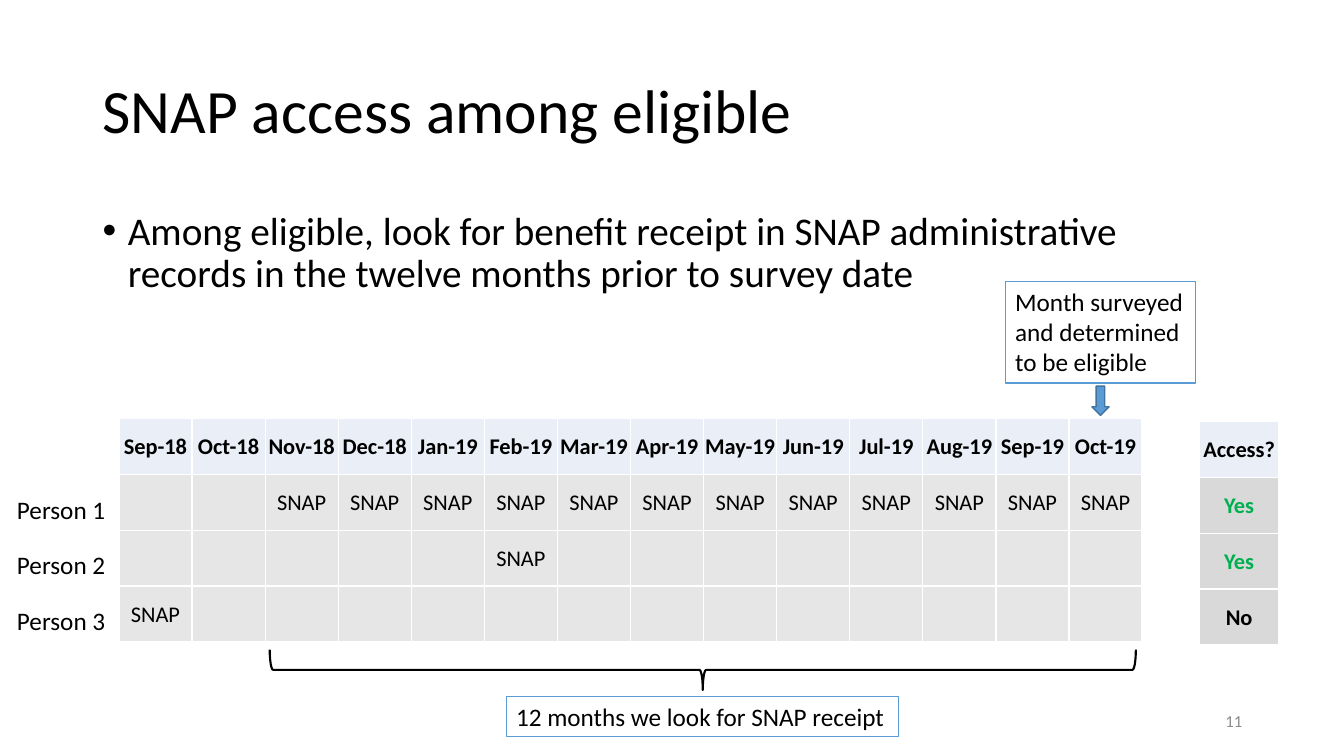
from dataclasses import dataclass

from lxml.etree import SubElement
from pptx import Presentation
from pptx.dml.color import RGBColor
from pptx.enum.shapes import MSO_SHAPE
from pptx.enum.text import MSO_ANCHOR, MSO_AUTO_SIZE, PP_ALIGN
from pptx.oxml.ns import qn
from pptx.shapes.autoshape import Shape
from pptx.slide import Slide
from pptx.table import _Cell
from pptx.text.text import _Paragraph
from pptx.util import Inches, Pt

COLORS = {
    "black": "000000",
    "white": "FFFFFF",
    "number": "8C8C8C",
    "header": "EAEFF7",
    "month": "E7E6E6",
    "access": "D9D9D9",
    "yes": "00B050",
    "blue": "5B9BD5",
    "dark blue": "43739E",
}
FONT = "Calibri"
ROW_HEIGHT = 2.22 / 4


@dataclass(frozen=True)
class Label:
    text: str
    left: float
    top: float
    width: float
    height: float
    size: int = 18
    color: str = "black"
    anchor: MSO_ANCHOR = MSO_ANCHOR.TOP
    align: PP_ALIGN = PP_ALIGN.LEFT
    wrap: bool = True
    framed: bool = False
    line_spacing: float = 1.0


@dataclass(frozen=True)
class Grid:
    left: float
    top: float
    width: float
    rows: list[list[str]]
    body_fill: str
    body_bold: bool


@dataclass(frozen=True)
class Mark:
    kind: MSO_SHAPE
    left: float
    top: float
    width: float
    height: float
    line: str
    line_width: float
    fill: str | None = None
    rotation: int = 0


def rgb(name: str) -> RGBColor:
    return RGBColor.from_string(COLORS[name])


def style(para: _Paragraph, size: int, color: str, bold: bool = False) -> None:
    para.font.name = FONT
    para.font.size = Pt(size)
    para.font.bold = bold
    para.font.color.rgb = rgb(color)


def add_label(page: Slide, label: Label) -> Shape:
    place = [Inches(n) for n in (label.left, label.top, label.width, label.height)]
    box = page.shapes.add_textbox(*place)
    frame = box.text_frame
    frame.word_wrap = label.wrap
    frame.auto_size = MSO_AUTO_SIZE.NONE
    frame.vertical_anchor = label.anchor
    para = frame.paragraphs[0]
    para.text = label.text
    para.alignment = label.align
    para.line_spacing = label.line_spacing
    style(para, label.size, label.color)
    if label.framed:
        box.line.color.rgb = rgb("blue")
        box.line.width = Pt(0.75)
    return box


def add_bullet(para: _Paragraph) -> None:
    para.space_before = Pt(10)
    properties = para._p.get_or_add_pPr()
    properties.set("marL", str(Inches(0.25)))
    properties.set("indent", str(Inches(-0.25)))
    SubElement(properties, qn("a:buFont"), typeface="Arial")
    SubElement(properties, qn("a:buChar"), char="•")


def add_borders(cell: _Cell) -> None:
    properties = cell._tc.get_or_add_tcPr()
    for side in ("lnL", "lnR", "lnT", "lnB"):
        border = SubElement(properties, qn(f"a:{side}"), w=str(Pt(1)))
        fill = SubElement(border, qn("a:solidFill"))
        SubElement(fill, qn("a:srgbClr"), val=COLORS["white"])


def fill_cell(cell: _Cell, text: str, fill: str, bold: bool) -> None:
    add_borders(cell)
    cell.fill.solid()
    cell.fill.fore_color.rgb = rgb(fill)
    cell.margin_left = cell.margin_right = cell.margin_top = Inches(0.01)
    cell.margin_bottom = 0
    cell.vertical_anchor = MSO_ANCHOR.MIDDLE
    para = cell.text_frame.paragraphs[0]
    para.text = text
    para.alignment = PP_ALIGN.CENTER
    style(para, 16, "yes" if text == "Yes" else "black", bold)


def add_grid(page: Slide, grid: Grid) -> None:
    row_count, column_count = len(grid.rows), len(grid.rows[0])
    table = page.shapes.add_table(
        row_count, column_count, Inches(grid.left), Inches(grid.top),
        Inches(grid.width), Inches(ROW_HEIGHT * row_count),
    ).table
    for column in table.columns:
        column.width = Inches(grid.width / column_count)
    for i, texts in enumerate(grid.rows):
        table.rows[i].height = Inches(ROW_HEIGHT)
        for j, text in enumerate(texts):
            fill = grid.body_fill if i else "header"
            fill_cell(table.cell(i, j), text, fill, i == 0 or grid.body_bold)


def add_mark(page: Slide, mark: Mark) -> None:
    place = [Inches(n) for n in (mark.left, mark.top, mark.width, mark.height)]
    shape = page.shapes.add_shape(mark.kind, *place)
    shape.shadow.inherit = False
    shape.rotation = mark.rotation
    shape.line.color.rgb = rgb(mark.line)
    shape.line.width = Pt(mark.line_width)
    if mark.fill:
        shape.fill.solid()
        shape.fill.fore_color.rgb = rgb(mark.fill)
    else:
        shape.fill.background()


MONTHS = (
    "Sep-18 Oct-18 Nov-18 Dec-18 Jan-19 Feb-19 Mar-19 "
    "Apr-19 May-19 Jun-19 Jul-19 Aug-19 Sep-19 Oct-19"
).split(" ")
RECEIPT = [MONTHS[2:], ["Feb-19"], ["Sep-18"]]
RECEIPT_ROWS = [
    ["SNAP" if month in received else "" for month in MONTHS] for received in RECEIPT
]

GRIDS = [
    Grid(1.18, 4.15, 10.15, [MONTHS, *RECEIPT_ROWS], "month", False),
    Grid(11.9, 4.18, 0.78, [["Access?"], ["Yes"], ["Yes"], ["No"]], "access", True),
]
TITLE = Label("SNAP access among eligible", 0.92, 0.4, 11.5, 1.45, 44,
              anchor=MSO_ANCHOR.MIDDLE, line_spacing=0.9)
BODY = Label(
    "Among eligible, look for benefit receipt in SNAP administrative "
    "records in the twelve months prior to survey date",
    0.92, 2.05, 11.5, 4.76, 28, line_spacing=0.9,
)
LABELS = [
    Label("11", 9.42, 6.95, 3, 0.4, 12, "number", MSO_ANCHOR.MIDDLE, PP_ALIGN.RIGHT),
    Label("Month surveyed and determined to be eligible", 9.97, 2.79, 1.89, 1.01,
          framed=True),
    Label("12 months we look for SNAP receipt", 5.02, 6.91, 3.89, 0.4,
          wrap=False, framed=True),
    *(Label(f"Person {i + 1}", 0.07, 4.85 + i * ROW_HEIGHT, 1.09, 0.4, wrap=False)
      for i in range(3)),
]
MARKS = [
    Mark(MSO_SHAPE.DOWN_ARROW, 10.83, 3.83, 0.17, 0.29, "dark blue", 1, "blue"),
    Mark(MSO_SHAPE.LEFT_BRACE, 6.77, 2.35, 0.4, 8.59, "black", 1.5, rotation=270),
]


def main() -> None:
    deck = Presentation()
    deck.slide_width, deck.slide_height = Inches(13.33), Inches(7.5)
    page = deck.slides.add_slide(deck.slide_layouts[6])
    add_label(page, TITLE)
    add_bullet(add_label(page, BODY).text_frame.paragraphs[0])
    for grid in GRIDS:
        add_grid(page, grid)
    for label in LABELS:
        add_label(page, label)
    for mark in MARKS:
        add_mark(page, mark)
    deck.save("out.pptx")


if __name__ == "__main__":
    main()
